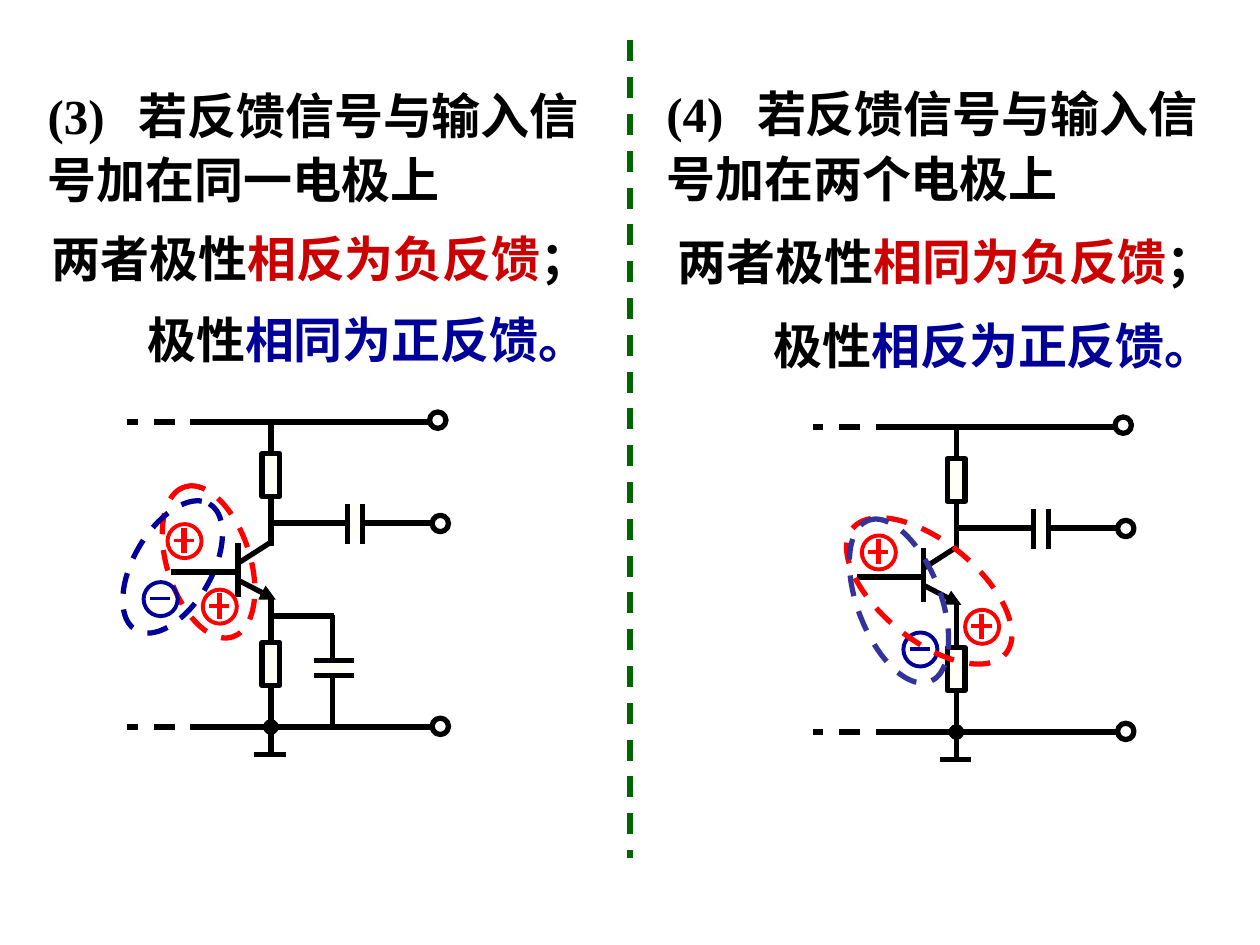
from pptx import Presentation
from pptx.dml.color import RGBColor
from pptx.enum.dml import MSO_LINE
from pptx.enum.shapes import MSO_CONNECTOR, MSO_SHAPE
from pptx.enum.text import MSO_AUTO_SIZE
from pptx.oxml.ns import qn
from pptx.util import Inches, Pt
from lxml.etree import SubElement

THEME = dict(ink="000000", red="FF0000", blue="000099", indigo="333399",
             crimson="CC0000", green="006600", pale="FFFFF7", white="FFFFFF",
             latin="Times New Roman", cjk="Noto Sans CJK SC",
             size=28, thick=3, thin=2.25)

# (left, top, width, height), runs of (text, colour)
TEXTS = [
    ((0.28, 0.58, 4.58, 1.13), [("(3)\t若反馈信号与输入信号加在同一电极上", "ink")]),
    ((0.31, 1.72, 4.58, 0.62),
     [("两者极性", "ink"), ("相反为负反馈", "crimson"), ("；", "ink")]),
    ((1.07, 2.36, 3.9, 0.62), [("极性", "ink"), ("相同为正反馈。", "blue")]),
    ((5.19, 0.57, 4.67, 1.13), [("(4)\t若反馈信号与输入信号加在两个电极上", "ink")]),
    ((5.28, 1.74, 4.58, 0.62),
     [("两者极性", "ink"), ("相同为负反馈", "crimson"), ("；", "ink")]),
    ((6.04, 2.41, 3.9, 0.62), [("极性", "ink"), ("相反为正反馈。", "blue")]),
]
INDENT = 0.72

# Dashed loops: box, rotation, colour
LEFT_LOOPS = [((1.03, 4.13, 1.25, 0.66), 72.3, "red"),
              ((0.79, 4.19, 1.16, 0.62), 120.1, "blue")]
RIGHT_LOOPS = [((6.59, 4.3, 1.57, 0.78), 39.2, "red"),
               ((6.45, 4.44, 1.37, 0.66), 69, "indigo")]

# Polarity marks: centre x, centre y, sign
MARKS = [(1.46, 4.29, "+"), (1.27, 4.75, "-"), (1.74, 4.81, "+"),
         (6.97, 4.38, "+"), (7.3, 5.15, "-"), (7.79, 4.97, "+")]

# Amplifier stage, in the coordinates of the left circuit
AXIS, TOP, BASE = 2.15, 3.35, 5.77
WIRES = [
    (1.89, 4.31, 1.89, 4.74), (1.89, 4.47, 2.14, 4.31),   # transistor
    (1.36, 4.54, 1.91, 4.54), (2.16, 4.15, 2.76, 4.15),   # base, output
    (2.89, 4.15, 3.43, 4.15),
    (3.41, TOP, 1.57, TOP), (3.43, BASE, 1.57, BASE),     # rails
    (2.02, 5.99, 2.27, 5.99),                             # ground
]
BYPASS = [(2.16, 4.89, 2.65, 4.89), (2.64, 4.88, 2.64, 5.23),
          (2.64, 5.35, 2.64, 5.78)]
RESISTORS = [(3.6, TOP, 4.33), (5.1, 4.74, BASE)]  # body top, lead start, lead end
PORTS = [(3.41, 3.27), (3.43, 4.09), (3.43, 5.7)]
SHIFT = (5.44, 0.04)

deck = Presentation()
deck.slide_width, deck.slide_height = Inches(10), Inches(7.5)
slide = deck.slides.add_slide(deck.slide_layouts[6])
shapes = slide.shapes


def color(name):
    return RGBColor.from_string(THEME[name])


def stroke(item, tint, weight, dash):
    item.line.color.rgb = color(tint)
    item.line.width = Pt(THEME[weight])
    if dash:
        item.line.dash_style = MSO_LINE.DASH


def shape(kind, box, tint="ink", weight="thick", fill=None, dash=False, turn=0):
    item = shapes.add_shape(kind, *map(Inches, box))
    item.shadow.inherit = False
    item.rotation = turn
    if fill:
        item.fill.solid()
        item.fill.fore_color.rgb = color(fill)
    else:
        item.fill.background()
    stroke(item, tint, weight, dash)
    return item


def wire(ends, tint="ink", weight="thick", dash=False, head=None, tail=None):
    item = shapes.add_connector(MSO_CONNECTOR.STRAIGHT, *map(Inches, ends))
    stroke(item, tint, weight, dash)
    for tag, cap in (("a:headEnd", head), ("a:tailEnd", tail)):
        if cap:
            SubElement(item.line._get_or_add_ln(), qn(tag), type=cap)
    SubElement(item._element.spPr, qn("a:effectLst"))
    return item


def text(box, runs, spacing=1.1, stop=INDENT):
    frame = shapes.add_textbox(*map(Inches, box)).text_frame
    frame.word_wrap = True
    frame.auto_size = MSO_AUTO_SIZE.SHAPE_TO_FIT_TEXT
    para = frame.paragraphs[0]
    para.line_spacing = spacing
    tabs = SubElement(para._p.get_or_add_pPr(), qn("a:tabLst"))
    SubElement(tabs, qn("a:tab"), pos=str(Inches(stop)), algn="l")
    for words, tint in runs:
        run = para.add_run()
        run.text = words
        font = run.font
        font.size, font.bold, font.name = Pt(THEME["size"]), True, THEME["latin"]
        font.color.rgb = color(tint)
        SubElement(run._r.get_or_add_rPr(), qn("a:ea"), typeface=THEME["cjk"])


def loop(box, turn, tint):
    shape(MSO_SHAPE.OVAL, box, tint, dash=True, turn=turn)


def mark(x, y, sign):
    tint = "red" if sign == "+" else "blue"
    shape(MSO_SHAPE.OVAL, (x - 0.13, y - 0.13, 0.27, 0.27), tint, "thin")
    wire((x - 0.08, y, x + 0.08, y), tint, "thin")
    if sign == "+":
        wire((x, y - 0.1, x, y + 0.1), tint)


def stage(dx, dy, bypass):
    """Draw one amplifier moved by (dx, dy), with or without emitter bypass."""
    def move(*ends):
        return [v + (dy if i % 2 else dx) for i, v in enumerate(ends)]

    def body(x, y, w, h, tint="ink"):
        return shape(MSO_SHAPE.RECTANGLE, (x + dx, y + dy, w, h), tint, fill="pale")

    body(2.77, 4.01, 0.1, 0.29, "white")
    plates = [(x, 4.32, x, 4) for x in (2.76, 2.88)]
    if bypass:
        body(2.5, 5.25, 0.29, 0.1, "white")
        plates += [(2.49, y, 2.81, y) for y in (5.24, 5.36)]
    for ends in WIRES + plates + (BYPASS if bypass else []):
        wire(move(*ends))
    wire(move(1.9, 4.61, 2.19, 4.76), tail="triangle")
    for y in (TOP, BASE):
        wire(move(1.97, y, 1.01, y), dash=True)
    for y, start, end in RESISTORS:
        part = body(AXIS - 0.07, y, 0.14, 0.34)
        wire(move(AXIS, start, AXIS, y)).end_connect(part, 0)
        wire(move(AXIS, y + 0.34, AXIS, end)).begin_connect(part, 2)
    for x, y in PORTS:
        shape(MSO_SHAPE.OVAL, (x + dx, y + dy, 0.13, 0.13))
    wire(move(AXIS, BASE, AXIS, 5.99), head="oval")


for item in LEFT_LOOPS:
    loop(*item)
stage(0, 0, bypass=True)
stage(*SHIFT, bypass=False)
for item in MARKS:
    mark(*item)
for item in RIGHT_LOOPS:
    loop(*item)
wire((5, 0.32, 5, 6.81), "green", dash=True)
for item in TEXTS:
    text(*item)

deck.save("out.pptx")
